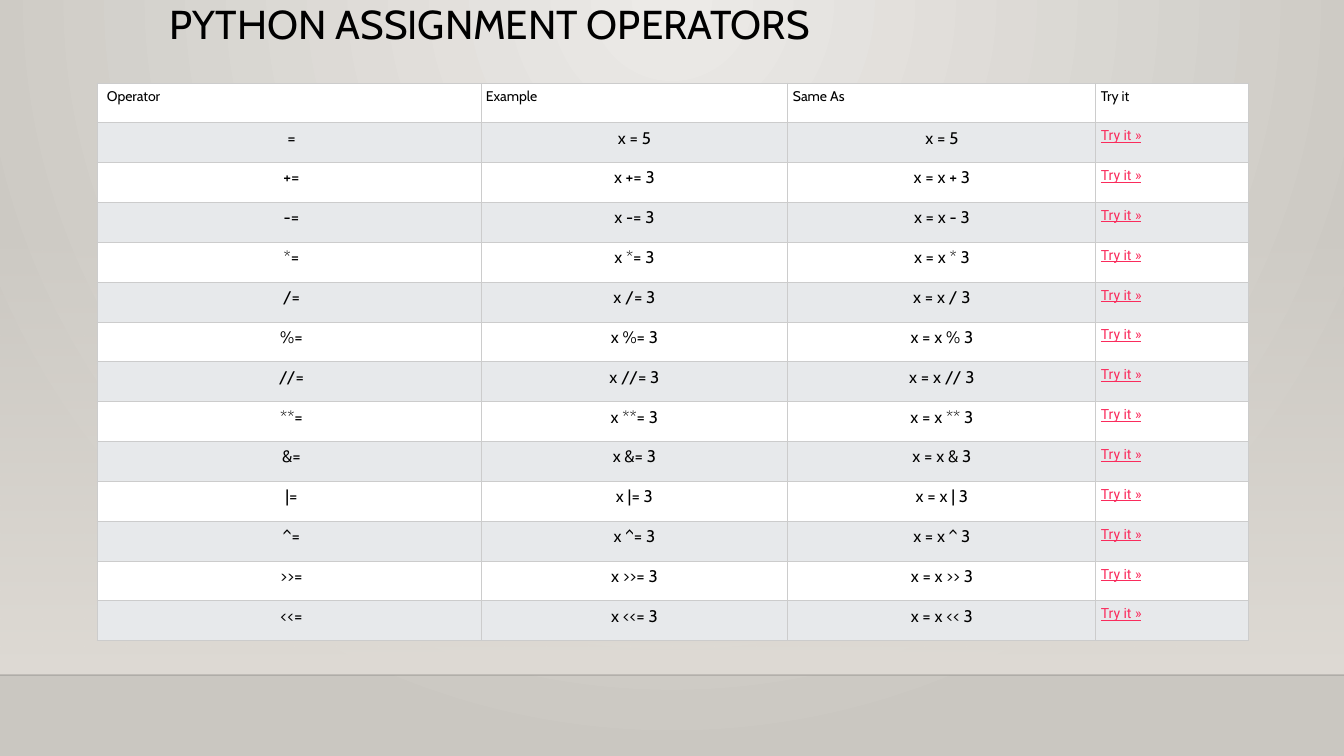
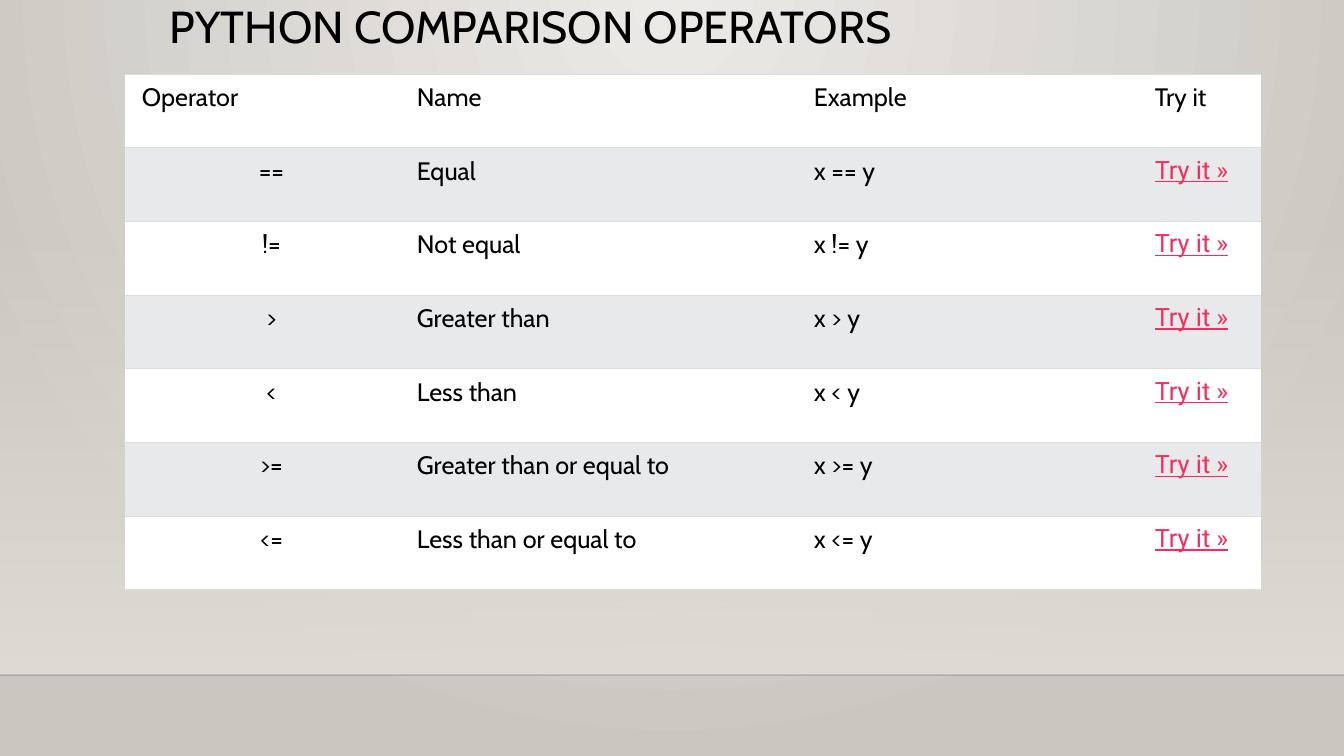
from lxml.etree import SubElement
from pptx import Presentation
from pptx.dml.color import RGBColor
from pptx.enum.shapes import MSO_CONNECTOR, MSO_SHAPE
from pptx.enum.text import MSO_ANCHOR, PP_ALIGN
from pptx.oxml.ns import qn
from pptx.util import Pt

WIDE, HIGH, FLOOR = 1344, 756, 675
BLACK = RGBColor(0x00, 0x00, 0x00)
WHITE = RGBColor(0xFF, 0xFF, 0xFF)
STRIPE = RGBColor(0xE7, 0xE9, 0xEB)
PINK = RGBColor(0xFA, 0x2B, 0x5C)
GRID = RGBColor(0xCC, 0xCC, 0xCC)
RULE = RGBColor(0xDD, 0xDD, 0xDD)
LIGHT = RGBColor(0xEC, 0xEA, 0xE7)
STONE = RGBColor(0xCA, 0xC7, 0xC1)
SAND = RGBColor(0xDF, 0xDB, 0xD5)
PLAIN = "{2D5ABB26-0587-4C30-8999-92F81FD0307C}"
LINK = "Try it »"

MATHS = ["+=", "-=", "*=", "/=", "%=", "//=", "**=",
         "&=", "|=", "^=", ">>=", "<<="]
ASSIGN = [("Operator", "Example", "Same As", "Try it"),
          ("=", "x = 5", "x = 5", LINK)]
ASSIGN += [(op, f"x {op} 3", f"x = x {op[:-1]} 3", LINK) for op in MATHS]

TESTS = [("==", "Equal"), ("!=", "Not equal"), (">", "Greater than"),
         ("<", "Less than"), (">=", "Greater than or equal to"),
         ("<=", "Less than or equal to")]
COMPARE = [("Operator", "Name", "Example", "Try it")]
COMPARE += [(op, name, f"x {op} y", LINK) for op, name in TESTS]


def px(count):
    """Turn pixels into EMU."""
    return round(count * 914400 / 100.8)


def write(frame, text, size=18, font="Cabin", color=BLACK,
          align=PP_ALIGN.LEFT, under=False, space=1.0):
    """Put one formatted paragraph into a text frame."""
    para = frame.paragraphs[0]
    para.alignment = align
    para.line_spacing = space
    run = para.add_run()
    run.text = text
    run.font.size = Pt(size)
    run.font.name = font
    run.font.color.rgb = color
    run.font.underline = under


def fade(node, share):
    """Give the first colour under a node an opacity in percent."""
    color = next(node.iter(qn("a:srgbClr")))
    SubElement(color, qn("a:alpha"), val=str(share * 1000))


def blend(fill, first, last):
    """Fill from the first colour at the top to the last at the bottom."""
    fill.gradient()
    fill.gradient_angle = 270
    for stop, color in zip(fill.gradient_stops, (first, last)):
        stop.color.rgb = color


def glow(master):
    """Light the master background from the middle of its top edge."""
    blend(master.background.fill, LIGHT, STONE)
    grad = next(master.element.iter(qn("a:gradFill")))
    grad.remove(grad.find(qn("a:lin")))
    ring = SubElement(grad, qn("a:path"), path="circle")
    SubElement(ring, qn("a:fillToRect"), l="43000", t="0",
               r="43000", b="100000")


def wall(slide):
    """Draw the fading wall and the floor line."""
    top = 223
    rect = slide.shapes.add_shape(MSO_SHAPE.RECTANGLE, 0, px(top),
                                  px(WIDE), px(FLOOR - top))
    rect.shadow.inherit = False
    rect.line.fill.background()
    blend(rect.fill, SAND, SAND)
    fade(rect.element.spPr, 0)

    edge = slide.shapes.add_connector(MSO_CONNECTOR.STRAIGHT, 0, px(FLOOR),
                                      px(WIDE), px(FLOOR))
    edge.line.width = Pt(1)
    edge.line.color.rgb = BLACK
    props = edge.element.spPr
    fade(props, 20)
    SubElement(props, qn("a:effectLst"))


def head(slide, text, size, high):
    """Add the slide title."""
    box = slide.shapes.add_textbox(px(160), 0, px(1058), px(high))
    box.text_frame.word_wrap = True
    box.text_frame.vertical_anchor = MSO_ANCHOR.TOP
    write(box.text_frame, text, size=size, space=0.9)


def border(cell, sides, color):
    """Draw thin lines on the named sides of a cell."""
    props = cell._tc.get_or_add_tcPr()
    for side in sides:
        line = SubElement(props, qn(f"a:ln{side}"), w=str(Pt(0.75)))
        fill = SubElement(line, qn("a:solidFill"))
        SubElement(fill, qn("a:srgbClr"), val=str(color))


def table(slide, rows, left, top, high, cols, pad, first, sizes,
          centre, sides, color):
    """Add a striped table with sizes for its head, body and links."""
    frame = slide.shapes.add_table(len(rows), len(cols), px(left), px(top),
                                   px(sum(cols)), px(high))
    grid = frame.table
    grid.first_row = grid.horz_banding = False
    next(grid._tbl.iter(qn("a:tableStyleId"))).text = PLAIN
    for col, wide in zip(grid.columns, cols):
        col.width = px(wide)
    for r, row in enumerate(rows):
        grid.rows[r].height = px(high) // len(rows)
        for c, text in enumerate(row):
            cell = grid.cell(r, c)
            cell.margin_left = px(pad if c else first)
            cell.margin_right = cell.margin_top = cell.margin_bottom = px(pad)
            border(cell, sides, color)
            cell.fill.solid()
            cell.fill.fore_color.rgb = STRIPE if r % 2 else WHITE
            if text == LINK:
                write(cell.text_frame, text, size=sizes[2], font="Roboto",
                      color=PINK, under=True)
            else:
                mid = r > 0 and c < centre
                write(cell.text_frame, text, size=sizes[1 if r else 0],
                      align=PP_ALIGN.CENTER if mid else PP_ALIGN.LEFT)


def page(deck, title, size, high):
    """Add a slide with the shared backdrop and a title."""
    slide = deck.slides.add_slide(deck.slide_layouts[6])
    wall(slide)
    head(slide, title, size, high)
    return slide


def main():
    """Build and save the deck."""
    deck = Presentation()
    deck.slide_width, deck.slide_height = px(WIDE), px(HIGH)
    glow(deck.slide_master)

    slide = page(deck, "PYTHON ASSIGNMENT OPERATORS", 28.8, 65)
    table(slide, ASSIGN, left=97, top=83, high=558,
          cols=(384, 307, 308, 153), pad=5, first=10, sizes=(10, 12, 10),
          centre=3, sides="LRTB", color=GRID)

    slide = page(deck, "PYTHON COMPARISON OPERATORS", 32, 110)
    table(slide, COMPARE, left=125, top=74, high=516,
          cols=(284, 397, 341, 114), pad=8, first=17, sizes=(18, 18, 18),
          centre=1, sides="TB", color=RULE)
    deck.save("out.pptx")


if __name__ == "__main__":
    main()
